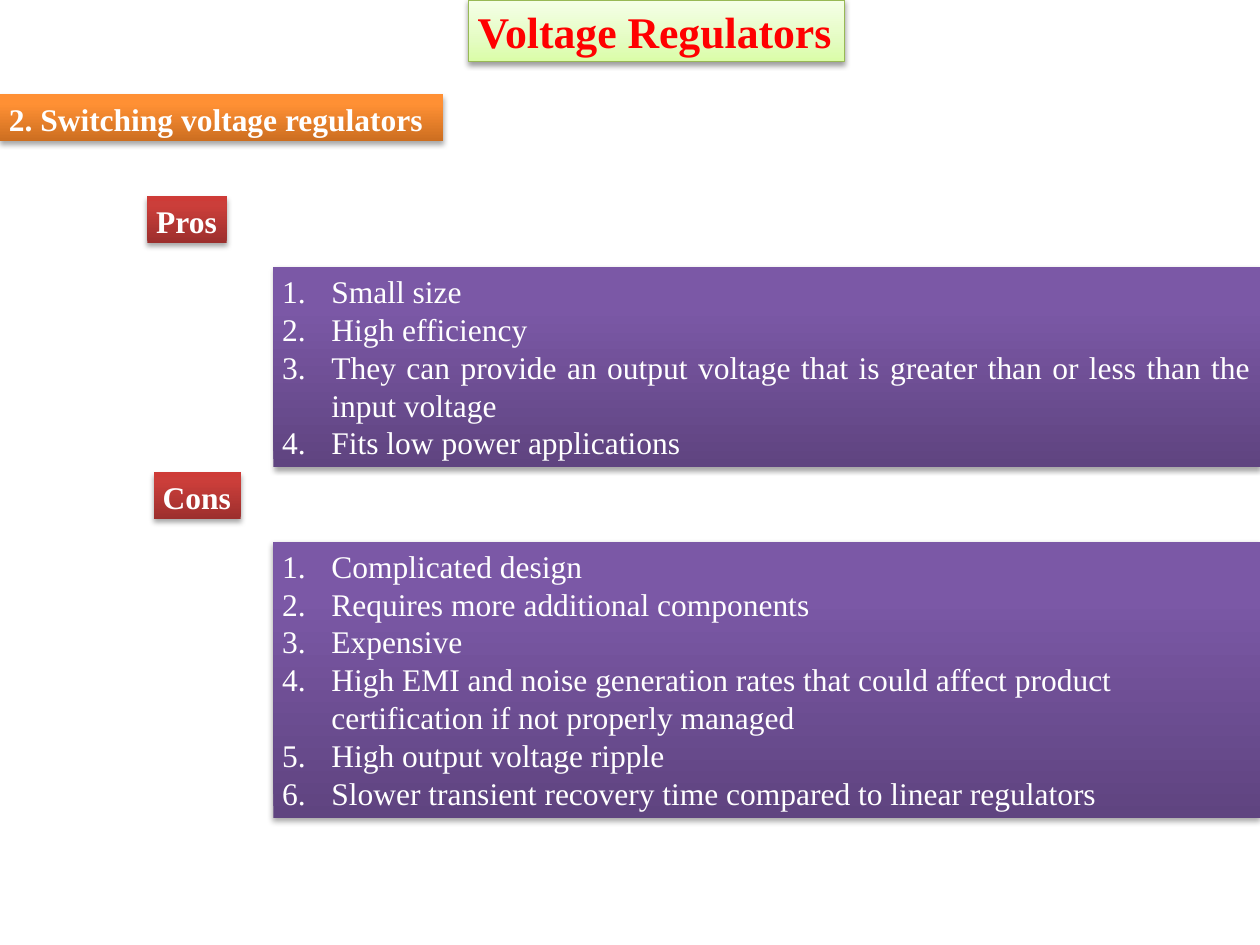
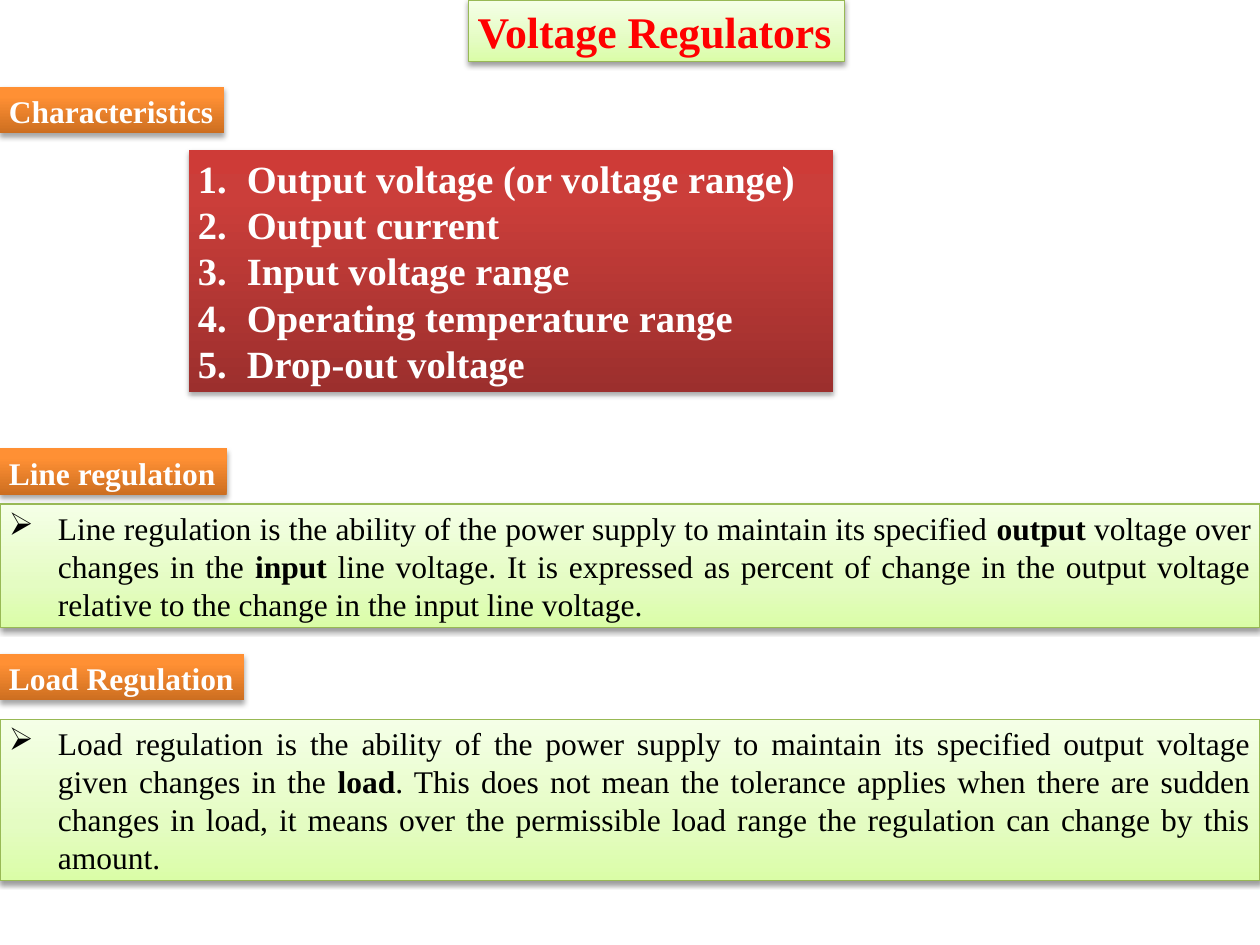
from copy import deepcopy
from dataclasses import dataclass
from typing import Optional

from lxml.etree import SubElement
from pptx import Presentation
from pptx.dml.color import RGBColor
from pptx.enum.shapes import MSO_SHAPE as Shape
from pptx.enum.text import MSO_ANCHOR as Anchor, MSO_AUTO_SIZE as AutoSize, PP_ALIGN as Align
from pptx.oxml.ns import qn
from pptx.util import Inches, Pt

WHITE = RGBColor(0xFF, 0xFF, 0xFF)
BLACK = RGBColor(0x00, 0x00, 0x00)
TITLE_RED = RGBColor(0xFF, 0x00, 0x00)
GREEN_EDGE = RGBColor(0x98, 0xB9, 0x55)
GREENS = [RGBColor(0xDA, 0xFD, 0xA7), RGBColor(0xE4, 0xFC, 0xC2), RGBColor(0xF5, 0xFF, 0xE7)]
ORANGES = [RGBColor(0xCC, 0x6E, 0x20), RGBColor(0xFF, 0x90, 0x34), RGBColor(0xFF, 0x91, 0x36)]
REDS = [RGBColor(0x9C, 0x2F, 0x2D), RGBColor(0xCB, 0x3E, 0x3A), RGBColor(0xCE, 0x3B, 0x37)]
PURPLES = [RGBColor(0x5F, 0x44, 0x80), RGBColor(0x7B, 0x58, 0xA6), RGBColor(0x7C, 0x57, 0xA8)]

FONT = "Times New Roman"
INDENT = Inches(0.39)
LABEL_HEIGHT = 0.37
FRAME_FORMAT = {
    "margin_left": Inches(0.07), "margin_right": Inches(0.07),
    "margin_top": Inches(0.04), "margin_bottom": Inches(0.04),
    "vertical_anchor": Anchor.TOP, "auto_size": AutoSize.SHAPE_TO_FIT_TEXT,
}
NUMBERED = ("a:buAutoNum", {"type": "arabicPeriod"})
ARROWED = ("a:buChar", {"char": "➢"})


@dataclass
class Look:
    """Surface and lettering of one kind of panel."""
    shades: list
    middle: float = 0.8
    edge: Optional[RGBColor] = None
    ink: RGBColor = WHITE
    size: int = 18
    bold: bool = False
    wrap: bool = False
    bullet: Optional[tuple] = None
    align: Align = Align.LEFT


TITLE = Look(GREENS, 0.35, GREEN_EDGE, TITLE_RED, 25, True)
HEADING = Look(ORANGES, bold=True)
TAG = Look(REDS, bold=True)
PROS_LIST = Look(PURPLES, wrap=True, bullet=NUMBERED, align=Align.JUSTIFY)
CONS_LIST = Look(PURPLES, wrap=True, bullet=NUMBERED)
TRAITS = Look(REDS, size=22, bold=True, bullet=NUMBERED)
DEFINITION = Look(GREENS, 0.35, GREEN_EDGE, BLACK, wrap=True, bullet=ARROWED, align=Align.JUSTIFY)


def apply_format(target, values):
    """Set each named attribute on the target."""
    for name, value in values.items():
        setattr(target, name, value)


def paint(panel, look):
    """Give a panel its upward gradient, edge and soft shadow."""
    panel.fill.gradient()
    panel.fill.gradient_angle = 90
    properties = panel._element.spPr
    stops = properties.find(qn("a:gradFill")).find(qn("a:gsLst"))
    stops.append(deepcopy(stops[0]))
    for stop, position, shade in zip(panel.fill.gradient_stops, (0, look.middle, 1), look.shades):
        stop.position = position
        stop.color.rgb = shade
    if look.edge:
        panel.line.color.rgb = look.edge
        panel.line.width = Pt(0.75)
    else:
        panel.line.fill.background()
    panel.shadow.inherit = False
    blur, distance, alpha = (3.1, 1.6, 38000) if look.edge else (3.1, 1.8, 35000)
    shadow = SubElement(properties.find(qn("a:effectLst")), qn("a:outerShdw"), {
        "blurRad": str(Pt(blur)), "dist": str(Pt(distance)), "dir": "5400000", "rotWithShape": "0"})
    colour = SubElement(shadow, qn("a:srgbClr"), val=str(BLACK))
    SubElement(colour, qn("a:alpha"), val=str(alpha))


def write(paragraph, text, look):
    """Write one paragraph, with bold words between asterisks."""
    paragraph.alignment = look.align
    if look.bullet:
        tag, values = look.bullet
        settings = paragraph._p.get_or_add_pPr()
        settings.set("marL", str(INDENT))
        settings.set("indent", str(-INDENT))
        SubElement(settings, qn(tag), values)
    for index, part in enumerate(text.split("*")):
        run = paragraph.add_run()
        run.text = part
        apply_format(run.font, {"name": FONT, "size": Pt(look.size),
                                "bold": look.bold or index % 2 == 1})
        run.font.color.rgb = look.ink


def add_panel(slide, box, look, *texts):
    """Place a painted panel holding the given paragraphs."""
    panel = slide.shapes.add_shape(Shape.RECTANGLE, *map(Inches, box))
    paint(panel, look)
    frame = panel.text_frame
    apply_format(frame, FRAME_FORMAT)
    frame.word_wrap = look.wrap
    for index, text in enumerate(texts):
        write(frame.add_paragraph() if index else frame.paragraphs[0], text, look)


def add_section(slide, box, label_size, looks, label, texts):
    """Place a label in the corner of a box and its body at the lower right."""
    left, top, width, height = box
    label_width, body_left, body_top = label_size
    label_look, body_look = looks
    add_panel(slide, (left, top, label_width, LABEL_HEIGHT), label_look, label)
    body = (left + body_left, top + body_top, width - body_left, height - body_top)
    add_panel(slide, body, body_look, *texts)


def add_titled_slide(deck):
    """Add a blank slide with the shared title."""
    slide = deck.slides.add_slide(deck.slide_layouts[6])
    add_panel(slide, (3.72, 0, 2.98, 0.49), TITLE, "Voltage Regulators")
    return slide


def build_switching(deck):
    """Build the pros and cons of switching regulators."""
    slide = add_titled_slide(deck)
    add_panel(slide, (0, 0.75, 3.52, LABEL_HEIGHT), HEADING, "2. Switching voltage regulators")
    add_section(slide, (1.17, 1.56, 8.83, 2.15), (0.63, 1, 0.56), (TAG, PROS_LIST), "Pros", [
        "Small size",
        "High efficiency",
        "They can provide an output voltage that is greater than or less than the input voltage",
        "Fits low power applications",
    ])
    add_section(slide, (1.22, 3.75, 8.78, 2.74), (0.69, 0.95, 0.55), (TAG, CONS_LIST), "Cons", [
        "Complicated design",
        "Requires more additional components",
        "Expensive",
        "High EMI and noise generation rates that could affect product certification "
        "if not properly managed",
        "High output voltage ripple",
        "Slower transient recovery time compared to linear regulators",
    ])


def build_characteristics(deck):
    """Build the characteristics and the two regulation definitions."""
    slide = add_titled_slide(deck)
    add_section(slide, (0, 0.69, 6.61, 2.42), (1.78, 1.5, 0.5), (HEADING, TRAITS),
                "Characteristics", [
        "Output voltage (or voltage range)",
        "Output current",
        "Input voltage range",
        "Operating temperature range",
        "Drop-out voltage",
    ])
    add_section(slide, (0, 3.56, 10, 1.42), (1.8, 0, 0.44), (HEADING, DEFINITION),
                "Line regulation", [
        "Line regulation is the ability of the power supply to maintain its specified *output* "
        "voltage over changes in the *input* line voltage. It is expressed as percent of change "
        "in the output voltage relative to the change in the input line voltage.",
    ])
    add_section(slide, (0, 5.19, 10, 1.8), (1.94, 0, 0.52), (HEADING, DEFINITION),
                "Load Regulation", [
        "Load regulation is the ability of the power supply to maintain its specified output "
        "voltage given changes in the *load*. This does not mean the tolerance applies when "
        "there are sudden changes in load, it means over the permissible load range the "
        "regulation can change by this amount.",
    ])


def main():
    """Build and save the two slides."""
    deck = Presentation()
    apply_format(deck, {"slide_width": Inches(10), "slide_height": Inches(7.5)})
    build_switching(deck)
    build_characteristics(deck)
    deck.save("out.pptx")


if __name__ == "__main__":
    main()
